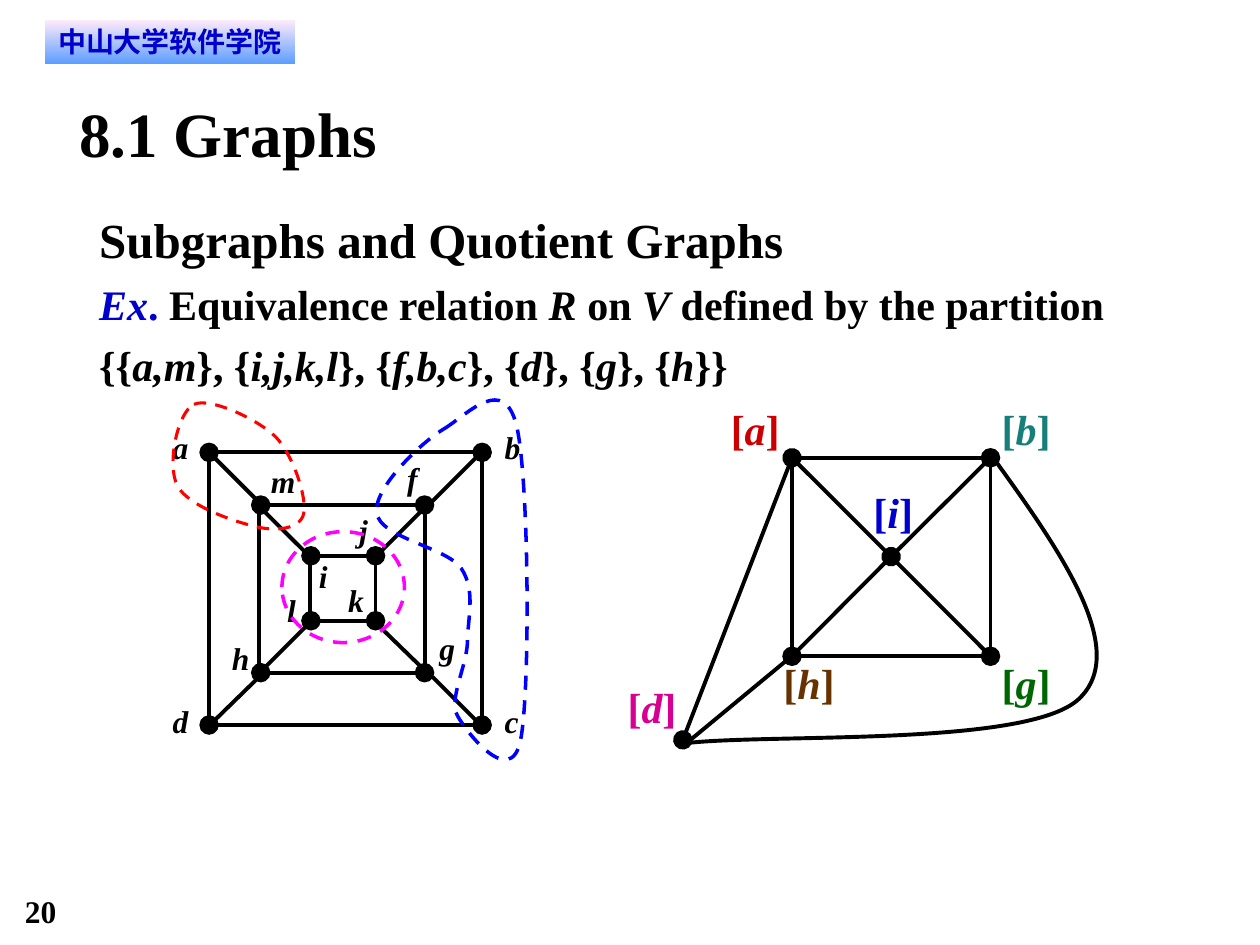
"""Build the slide on subgraphs and quotient graphs."""
from lxml import etree
from pptx import Presentation
from pptx.dml.color import RGBColor
from pptx.enum.dml import MSO_LINE
from pptx.enum.shapes import MSO_CONNECTOR, MSO_SHAPE
from pptx.enum.text import PP_ALIGN
from pptx.oxml.ns import qn
from pptx.util import Pt

STRAIGHT = MSO_CONNECTOR.STRAIGHT
RECT, OVAL = MSO_SHAPE.RECTANGLE, MSO_SHAPE.OVAL
DASH = MSO_LINE.DASH
CENTER = PP_ALIGN.CENTER
SERIF, SANS = "Times New Roman", "DejaVu Sans"

BLACK = RGBColor(0x00, 0x00, 0x00)
BLUE = RGBColor(0x00, 0x00, 0xCC)
DARK_RED = RGBColor(0xCC, 0x00, 0x00)
TEAL = RGBColor(0x17, 0x7F, 0x7A)
GREEN = RGBColor(0x00, 0x66, 0x00)
BROWN = RGBColor(0x66, 0x33, 0x00)
PINK = RGBColor(0xD6, 0x00, 0x93)
RED = RGBColor(0xFF, 0x00, 0x00)
PURE_BLUE = RGBColor(0x00, 0x00, 0xFF)
MAGENTA = RGBColor(0xFF, 0x00, 0xFF)
PALE_PINK = RGBColor(0xFF, 0xEB, 0xFA)
SKY = RGBColor(0x5E, 0x9E, 0xFF)

HEAD, TAIL = "a:headEnd", "a:tailEnd"
BOTH = (HEAD, TAIL)

RINGS = [
    {"left": 119.5, "top": 258.5, "right": 275.5, "bottom": 414.3, "sides": (119.6, 275.6)},
    {"left": 149, "top": 288.6, "right": 242.6, "bottom": 384.4, "sides": (147.9, 243.1)},
    {"left": 177.7, "top": 317.6, "right": 214.6, "bottom": 354.7, "sides": (176.9, 214.6)},
]
SPOKES = [
    ((120.2, 259.2), (148.3, 287.3)), ((247, 386.6), (275, 414.7)),
    ((274.3, 259.2), (246.2, 287.3)), ((148.3, 386.6), (119.5, 414.7)),
    ((241.9, 290.9), (213.8, 319)), ((213.8, 355), (242.6, 383)),
    ((149, 290.2), (177.1, 318.2)), ((177.8, 355), (149.8, 383)),
]
RING_LABELS = [
    ("a", 98.6, 244.8, 9), ("b", 288.4, 244.8, 9),
    ("c", 288.4, 401, 8), ("d", 98.6, 401, 9),
    ("h", 132.5, 365, 10), ("i", 182.2, 318.2, 5),
    ("j", 205.2, 292.3, 5), ("g", 251, 359.3, 9),
    ("m", 154.8, 263.8, 14), ("f", 232.6, 262.4, 6),
    ("k", 198.9, 331.9, 9), ("l", 164, 337.7, 5),
]

NODES = {
    "a": (452.6, 261.6), "b": (566, 261.6), "i": (509.2, 318.1),
    "h": (452.6, 375), "g": (566, 375), "d": (390.2, 422.8),
}
QUOTIENT_EDGES = [
    ("ah", (TAIL,)), ("gb", (HEAD,)), ("ab", (TAIL,)), ("hg", ()),
    ("ai", BOTH), ("bi", ()), ("ad", (TAIL,)), ("ih", ()), ("ig", ()),
]
EDGE_H_D = (451.4, 375.8), (389.5, 427)
QUOTIENT_LABELS = [
    ("a", 417.6, 230.4, 28, DARK_RED), ("b", 572.4, 230.4, 28, TEAL),
    ("g", 572.4, 375.8, 28, GREEN), ("h", 447.6, 375.8, 29.5, BROWN),
    ("i", 499.1, 277.9, 23, BLUE), ("d", 358.6, 389.5, 28, PINK),
]
ARC_B_D = [
    (567.4, 261.4), (607, 316.1), (645.8, 372.2), (616.3, 399.6),
    (586.8, 427), (437.8, 419), (391, 424.8),
]
CLASS_A_M = [
    (110.9, 231.1), (120.2, 226.8), (147.6, 239.8), (157.7, 249.8),
    (167.8, 260.6), (175.7, 285.1), (173.5, 293.8),
    (171.4, 302.4), (157.7, 303.8), (146.2, 301),
    (133.9, 298.1), (108, 289.4), (101.5, 277.9),
    (95, 265.7), (101.5, 235.4), (110.9, 231.1),
]
CLASS_F_B_C = [
    (254.2, 244.8), (267.8, 236.2), (288, 213.8), (295.2, 243.4),
    (302.4, 273.6), (303.1, 396), (297.4, 423.4),
    (291.6, 450.7), (266.4, 418.3), (261.4, 409),
    (256.3, 399.6), (266.4, 381.6), (267.1, 367.2),
    (267.1, 353.5), (272.2, 337.7), (263.5, 324.7),
    (254.9, 312.5), (216.7, 307.4), (215.3, 293),
    (213.1, 279.4), (240.5, 252.7), (254.2, 244.8),
]


def set_all(obj, **values):
    for name, value in values.items():
        setattr(obj, name, value)


def add_runs(p, marked, size, color=BLACK, font=SERIF):
    for n, part in enumerate(marked.split("*")):
        if part:
            r = p.add_run()
            r.text = part
            set_all(r.font, name=font, size=Pt(size), bold=True, italic=n % 2 == 1)
            r.font.color.rgb = color


def set_insets(tf, x=0, y=0):
    set_all(tf, margin_left=Pt(x), margin_right=Pt(x), margin_top=Pt(y), margin_bottom=Pt(y))


def add_text(shapes, box, marked, size, color=BLACK, wrap=False):
    tf = shapes.add_textbox(*map(Pt, box)).text_frame
    set_insets(tf)
    tf.word_wrap = wrap
    add_runs(tf.paragraphs[0], marked, size, color)
    return tf


def style_line(line, color, width, dash=None):
    line.color.rgb = color
    set_all(line, width=Pt(width), dash_style=dash)


def add_edge(shapes, start, end, dots=()):
    s = shapes.add_connector(STRAIGHT, *map(Pt, (*start, *end)))
    style_line(s.line, BLACK, 2.25)
    ln = s.line._get_or_add_ln()
    for tag in dots:
        etree.SubElement(ln, qn(tag), type="oval", w="lg", len="lg")
    etree.SubElement(s._element.spPr, qn("a:effectLst"))


def add_curve(shapes, points, color, width, dash=None, close=False):
    builder = shapes.build_freeform(*map(Pt, points[0]))
    builder.add_line_segments([tuple(map(Pt, point)) for point in points[1:]], close=close)
    s = builder.convert_to_shape()
    segments = list(s._element.iter(qn("a:lnTo")))
    for n in range(0, len(points) - 1, 3):
        cubic = etree.Element(qn("a:cubicBezTo"))
        segments[n].addprevious(cubic)
        for segment in segments[n:n + 3]:
            cubic.append(segment[0])
            segment.getparent().remove(segment)
    s.shadow.inherit = False
    s.fill.background()
    style_line(s.line, color, width, dash)


def add_banner(shapes, box, text):
    s = shapes.add_shape(RECT, *map(Pt, box))
    s.shadow.inherit = False
    s.line.fill.background()
    s.fill.gradient()
    s.fill.gradient_angle = 270
    for stop, position, color in zip(s.fill.gradient_stops, (0, 1), (PALE_PINK, SKY)):
        stop.position = position
        stop.color.rgb = color
    set_insets(s.text_frame, 5.76, 2.88)
    p = s.text_frame.paragraphs[0]
    p.alignment = CENTER
    add_runs(p, text, 16, BLUE, SANS)
    etree.SubElement(p.runs[0]._r.get_or_add_rPr(), qn("a:ea"), typeface=SANS)


def add_nested_squares(shapes):
    for ring in RINGS:
        for x in ring["sides"]:
            add_edge(shapes, (x, ring["top"]), (x, ring["bottom"]))
        for y in (ring["top"], ring["bottom"]):
            add_edge(shapes, (ring["left"], y), (ring["right"], y), BOTH)
    for start, end in SPOKES:
        add_edge(shapes, start, end)
    for name, x, y, w in RING_LABELS:
        add_text(shapes, (x, y, w, 21.6), f"*{name}*", 18)


def add_quotient_graph(shapes):
    for (start, end), dots in QUOTIENT_EDGES:
        add_edge(shapes, NODES[start], NODES[end], dots)
    add_edge(shapes, *EDGE_H_D)
    add_curve(shapes, ARC_B_D, BLACK, 2.25)
    for name, x, y, w, color in QUOTIENT_LABELS:
        add_text(shapes, (x, y, w, 28.8), f"[*{name}*]", 24, color)


def add_classes(shapes):
    add_curve(shapes, CLASS_A_M, RED, 1.75, DASH, close=True)
    add_curve(shapes, CLASS_F_B_C, PURE_BLUE, 2, DASH, close=True)
    s = shapes.add_shape(OVAL, *map(Pt, (161.1, 303.8, 70, 63.4)))
    s.shadow.inherit = False
    s.fill.background()
    style_line(s.line, MAGENTA, 2, DASH)


def main():
    prs = Presentation()
    set_all(prs, slide_width=Pt(720), slide_height=Pt(540))
    shapes = prs.slides.add_slide(prs.slide_layouts[6]).shapes
    add_text(shapes, (14.2, 510, 54, 21.6), "20", 18, wrap=True)
    add_banner(shapes, (25.5, 11.4, 143.2, 25), "中山大学软件学院")
    tf = add_text(shapes, (56.7, 113.2, 648.7, 109.4), "Subgraphs and Quotient Graphs", 28, wrap=True)
    p = tf.add_paragraph()
    add_runs(p, "*Ex*. ", 24, BLUE)
    add_runs(p, "Equivalence relation* R *on *V* defined by the partition "
                "{{*a,m*}, {*i,j,k,l*}, {*f,b,c*}, {*d*}, {*g*}, {*h*}}", 24)
    for p in tf.paragraphs:
        p.line_spacing = 1.2
    add_quotient_graph(shapes)
    add_text(shapes, (45.4, 54, 630, 43.2), "8.1 Graphs", 36, wrap=True)
    add_nested_squares(shapes.add_group_shape().shapes)
    add_classes(shapes)
    prs.save("out.pptx")


if __name__ == "__main__":
    main()
